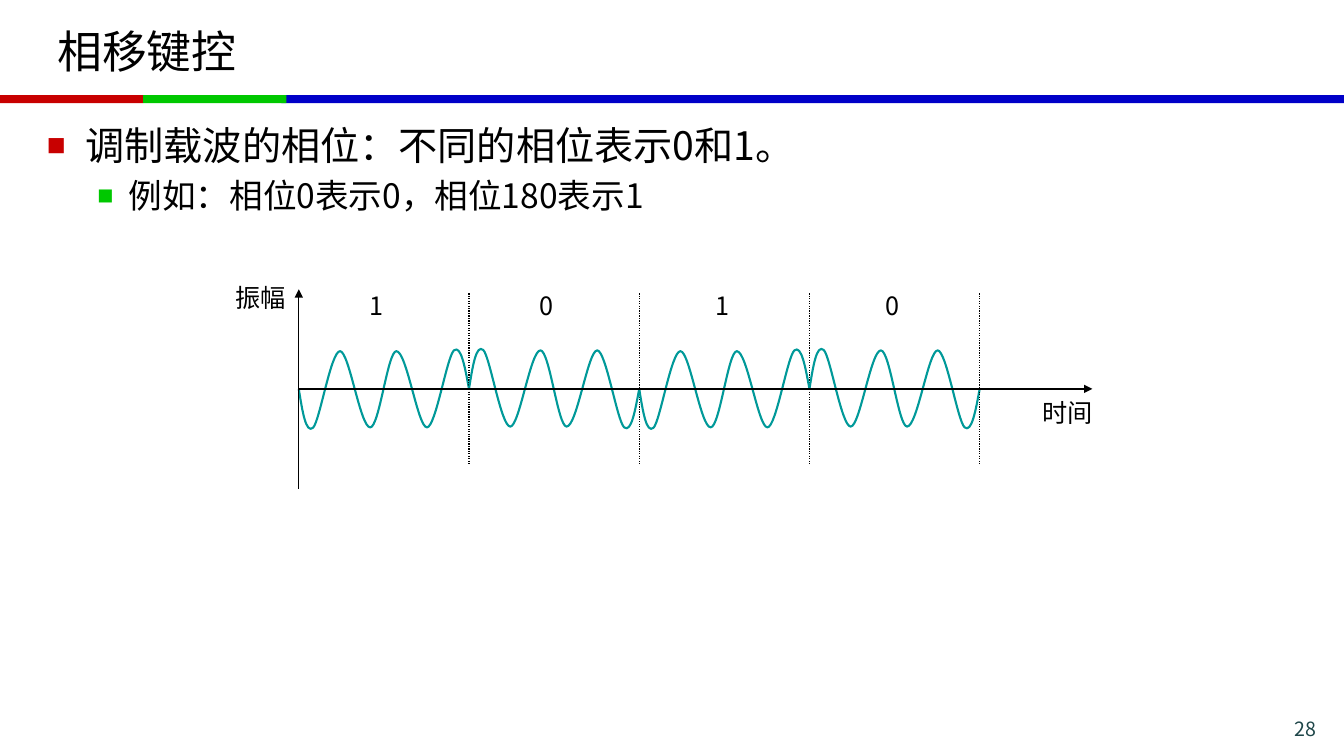
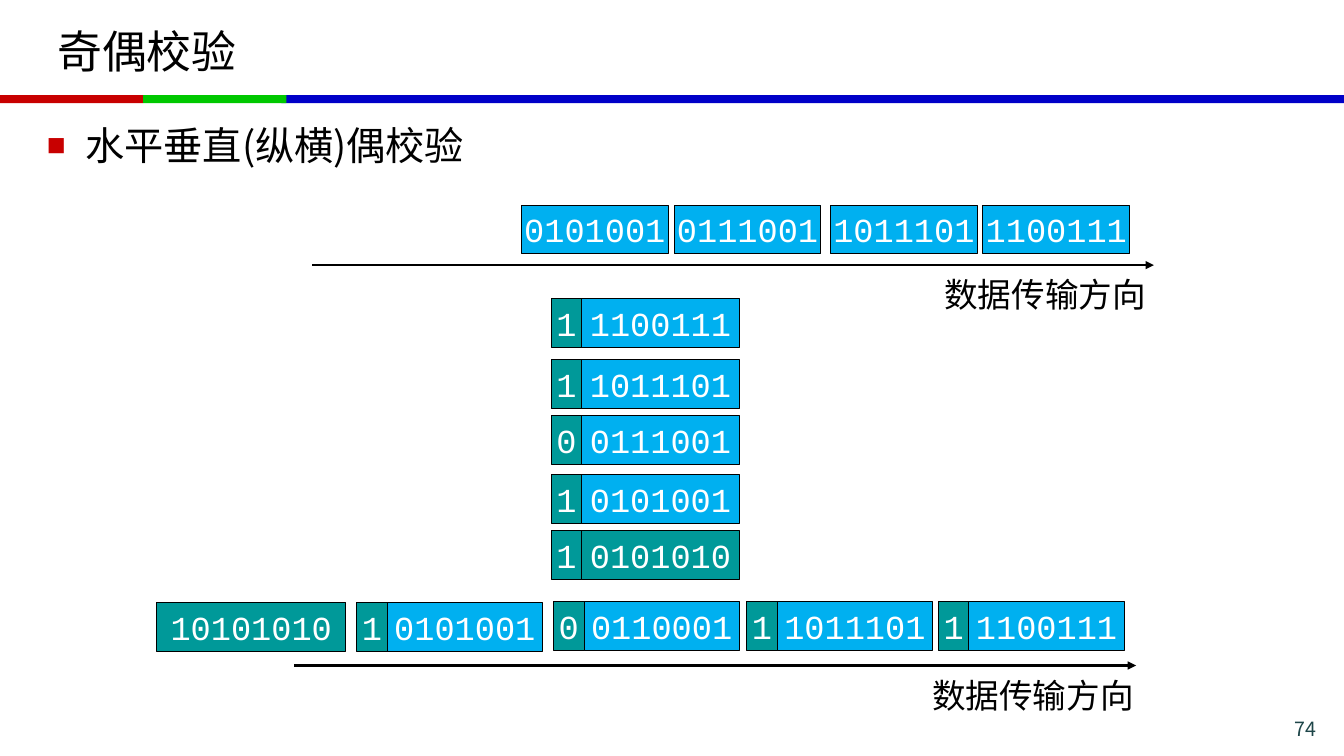
from dataclasses import dataclass

from lxml import etree
from pptx import Presentation
from pptx.dml import color
from pptx.enum import dml, lang, shapes, text
from pptx.oxml import ns
from pptx.util import Cm, Pt


@dataclass(frozen=True)
class Theme:
    black: str = "000000"
    white: str = "FFFFFF"
    red: str = "C80000"
    green: str = "00C800"
    blue: str = "0000C8"
    teal: str = "009999"
    sky: str = "00B0F0"
    number: str = "1E4649"
    font: str = "Noto Sans CJK SC"
    code_font: str = "Courier New"
    title_size: int = 32
    body_sizes: tuple = (28, 24)
    label_size: int = 18
    word_size: int = 24
    number_size: int = 14


T = Theme()
WIDTH, HEIGHT = 33.87, 19.05
BULLETS = ((0.97, -0.97, T.red), (2.06, -0.79, T.green))  # margin, indent, colour

# One bit of the carrier at phase 180: Bézier points in cm from its start
BIT_WIDTH = 4.29
CARRIER = [
    (0, 0), (0.09, 0.56), (0.18, 1.14), (0.36, 0.98),
    (0.53, 0.81), (0.81, -0.95), (1.04, -0.95),
    (1.27, -0.95), (1.55, 0.97), (1.8, 0.97),
    (2.03, 0.97), (2.24, -0.95), (2.46, -0.95),
    (2.72, -0.95), (3, 0.97), (3.23, 0.97),
    (3.45, 0.97), (3.73, -0.8), (3.91, -0.97),
    (4.09, -1.12), (4.19, -0.53), (BIT_WIDTH, 0),
]


def rgb(value):
    return color.RGBColor.from_string(value)


# Text
def add_run(paragraph, words, size, ink=T.black, font=T.font):
    run = paragraph.add_run()
    run.text = words
    run.font.size = Pt(size)
    run.font.name = font
    run.font.color.rgb = rgb(ink)
    run.font.language_id = lang.MSO_LANGUAGE_ID.SIMPLIFIED_CHINESE
    latin = run.font._element.find(ns.qn("a:latin"))
    latin.addnext(etree.Element(ns.qn("a:ea"), typeface=font))


def add_label(slide, words, box, size, ink=T.black, inset=None,
              align=text.PP_ALIGN.LEFT, wrap=False):
    frame = slide.shapes.add_textbox(*map(Cm, box)).text_frame
    frame.word_wrap = wrap
    if not wrap:
        frame.auto_size = text.MSO_AUTO_SIZE.SHAPE_TO_FIT_TEXT
    if inset is not None:
        frame.margin_left = frame.margin_right = Cm(inset)
        frame.margin_top = frame.margin_bottom = Cm(inset)
    paragraph = frame.paragraphs[0]
    paragraph.alignment = align
    add_run(paragraph, words, size, ink)


def place(holder, box, anchor):
    holder.left, holder.top, holder.width, holder.height = map(Cm, box)
    frame = holder.text_frame
    frame.auto_size = text.MSO_AUTO_SIZE.NONE
    frame.vertical_anchor = anchor
    return frame


def add_bullet(paragraph, level):
    margin, indent, ink = BULLETS[level]
    props = paragraph._p.get_or_add_pPr()
    props.set("marL", str(Cm(margin)))
    props.set("indent", str(Cm(indent)))
    tint = etree.SubElement(props, ns.qn("a:buClr"))
    etree.SubElement(tint, ns.qn("a:srgbClr"), val=ink)
    etree.SubElement(props, ns.qn("a:buSzPct"), val="80000")
    etree.SubElement(props, ns.qn("a:buChar"), char="■")


def fill_body(holder, points, height):
    frame = place(holder, (0.93, 2.92, 32, height), text.MSO_ANCHOR.TOP)
    for level, words in enumerate(points):
        paragraph = frame.add_paragraph() if level else frame.paragraphs[0]
        paragraph.level = level
        add_bullet(paragraph, level)
        size = T.body_sizes[level]
        paragraph.space_before = Pt(0.2 * size if level else 0)
        add_run(paragraph, words, size)


# Shapes and lines
def add_box(slide, box, fill, outline=None):
    shape = slide.shapes.add_shape(shapes.MSO_SHAPE.RECTANGLE, *map(Cm, box))
    shape.shadow.inherit = False
    shape.fill.solid()
    shape.fill.fore_color.rgb = rgb(fill)
    if outline:
        shape.line.color.rgb = rgb(outline)
        shape.line.width = Pt(0.75)
    else:
        shape.line.fill.background()
    return shape


def add_bits(slide, bits, left, top, width, fill):
    frame = add_box(slide, (left, top, width, 1.23), fill, T.black).text_frame
    frame.word_wrap = False
    frame.vertical_anchor = text.MSO_ANCHOR.MIDDLE
    paragraph = frame.paragraphs[0]
    paragraph.alignment = text.PP_ALIGN.CENTER
    add_run(paragraph, bits, T.word_size, T.white, T.code_font)


def add_codeword(slide, parity, bits, left, top, width, fill=T.sky):
    add_bits(slide, parity, left, top, 0.77, T.teal)
    add_bits(slide, bits, left + 0.77, top, width, fill)


def add_line(slide, start, end, width, arrow=False, dotted=False):
    line = slide.shapes.add_connector(
        shapes.MSO_CONNECTOR.STRAIGHT, *map(Cm, start + end))
    line.line.color.rgb = rgb(T.black)
    line.line.width = Pt(width)
    if dotted:
        line.line.dash_style = dml.MSO_LINE.ROUND_DOT
    if arrow:
        etree.SubElement(line.line._get_or_add_ln(), ns.qn("a:tailEnd"),
                         type="triangle")
    etree.SubElement(line._element.spPr, ns.qn("a:effectLst"))


def curve_segments(shape):
    """Turn each three straight segments into one cubic Bézier curve."""
    segments = list(shape._element.iter(ns.qn("a:lnTo")))
    for first in range(0, len(segments), 3):
        curve = etree.Element(ns.qn("a:cubicBezTo"))
        segments[first].addprevious(curve)
        for segment in segments[first:first + 3]:
            curve.append(segment[0])
            segment.getparent().remove(segment)


def add_carrier(slide, left, axis, bit):
    sign = 1 if bit == "1" else -1
    outline = slide.shapes.build_freeform(Cm(left), Cm(axis))
    outline.add_line_segments(
        [(Cm(left + x), Cm(axis + sign * y)) for x, y in CARRIER[1:]],
        close=False)
    wave = outline.convert_to_shape()
    curve_segments(wave)
    wave.shadow.inherit = False
    wave.fill.background()
    wave.line.color.rgb = rgb(T.teal)
    wave.line.width = Pt(1.5)


# Shared parts: bands on the master, title, list and number on each slide
def add_master_bands(deck, slide):
    tree = deck.slide_master.shapes._spTree
    bands = ((7.09, WIDTH - 7.09, T.blue), (0, 3.61, T.red),
             (3.61, 3.61, T.green))
    for index, (left, width, fill) in enumerate(bands):
        band = add_box(slide, (left, 2.4, width, 0.2), fill)._element
        band.nvSpPr.cNvPr.set("id", str(100 + index))
        tree.insert(2 + index, band)


def add_slide(deck, title, points, body_height, number):
    slide = deck.slides.add_slide(deck.slide_layouts[1])
    heading = place(slide.shapes.title, (1.19, 0.2, 31.47, 2.13),
                    text.MSO_ANCHOR.MIDDLE)
    paragraph = heading.paragraphs[0]
    paragraph.alignment = text.PP_ALIGN.LEFT
    add_run(paragraph, title, T.title_size)
    fill_body(slide.placeholders[1], points, body_height)
    add_label(slide, str(number), (30.13, 17.93, 3.3, 0.71), T.number_size,
              T.number, align=text.PP_ALIGN.RIGHT, wrap=True)
    return slide


def phase_shift_slide(deck):
    slide = add_slide(deck, "相移键控", [
        "调制载波的相位：不同的相位表示0和1。",
        "例如：相位0表示0，相位180表示1"], 3.71, 28)
    origin, axis = 7.53, 9.8

    # Modulated bits
    for index, (bit, label_left, label_width) in enumerate((
            ("1", 9.32, 0.25), ("0", 13.6, 0.36),
            ("1", 18.03, 0.25), ("0", 22.32, 0.36))):
        left = origin + index * BIT_WIDTH
        right = left + BIT_WIDTH
        add_carrier(slide, left, axis, bit)
        add_line(slide, (right, 7.39), (right, 11.68), 0.88, dotted=True)
        add_label(slide, bit, (label_left, 7.32, label_width, 0.76),
                  T.label_size, inset=0)

    # Axes
    add_line(slide, (origin, 12.32), (origin, 7.29), 1, arrow=True)
    add_line(slide, (origin, axis), (27.53, axis), 1, arrow=True)
    for words, left, top in (("振幅", 5.94, 7.11), ("时间", 26.27, 10.01)):
        add_label(slide, words, (left, top, 1.27, 0.76), T.label_size, inset=0)
    return slide


def parity_slide(deck):
    slide = add_slide(deck, "奇偶校验", ["水平垂直(纵横)偶校验"], 1.65, 74)

    # Data before coding
    for bits, left in (("0101001", 13.14), ("0111001", 16.99),
                       ("1011101", 20.93), ("1100111", 24.77)):
        add_bits(slide, bits, left, 5.17, 3.7, T.sky)

    # Parity block
    for parity, bits, top, fill in (
            ("1", "1100111", 7.52, T.sky), ("1", "1011101", 9.07, T.sky),
            ("0", "0111001", 10.47, T.sky), ("1", "0101001", 11.96, T.sky),
            ("1", "0101010", 13.37, T.teal)):
        add_codeword(slide, parity, bits, 13.89, top, 3.97, fill)

    # Data after coding
    add_bits(slide, "10101010", 3.94, 15.18, 4.78, T.teal)
    for parity, bits, left, top in (
            ("1", "0101001", 8.99, 15.18), ("0", "0110001", 13.95, 15.16),
            ("1", "1011101", 18.82, 15.16), ("1", "1100111", 23.65, 15.16)):
        add_codeword(slide, parity, bits, left, top, 3.91)

    # Directions of transmission
    for left, top, label_left in ((7.87, 6.68, 23.55), (7.42, 16.77, 23.24)):
        add_line(slide, (left, top), (left + 21.21, top), 1.5, arrow=True)
        add_label(slide, "数据传输方向", (label_left, top + 0.1, 5.64, 1.27),
                  T.word_size)


def main():
    deck = Presentation()
    deck.slide_width, deck.slide_height = Cm(WIDTH), Cm(HEIGHT)
    add_master_bands(deck, phase_shift_slide(deck))
    parity_slide(deck)
    deck.save("out.pptx")


if __name__ == "__main__":
    main()
